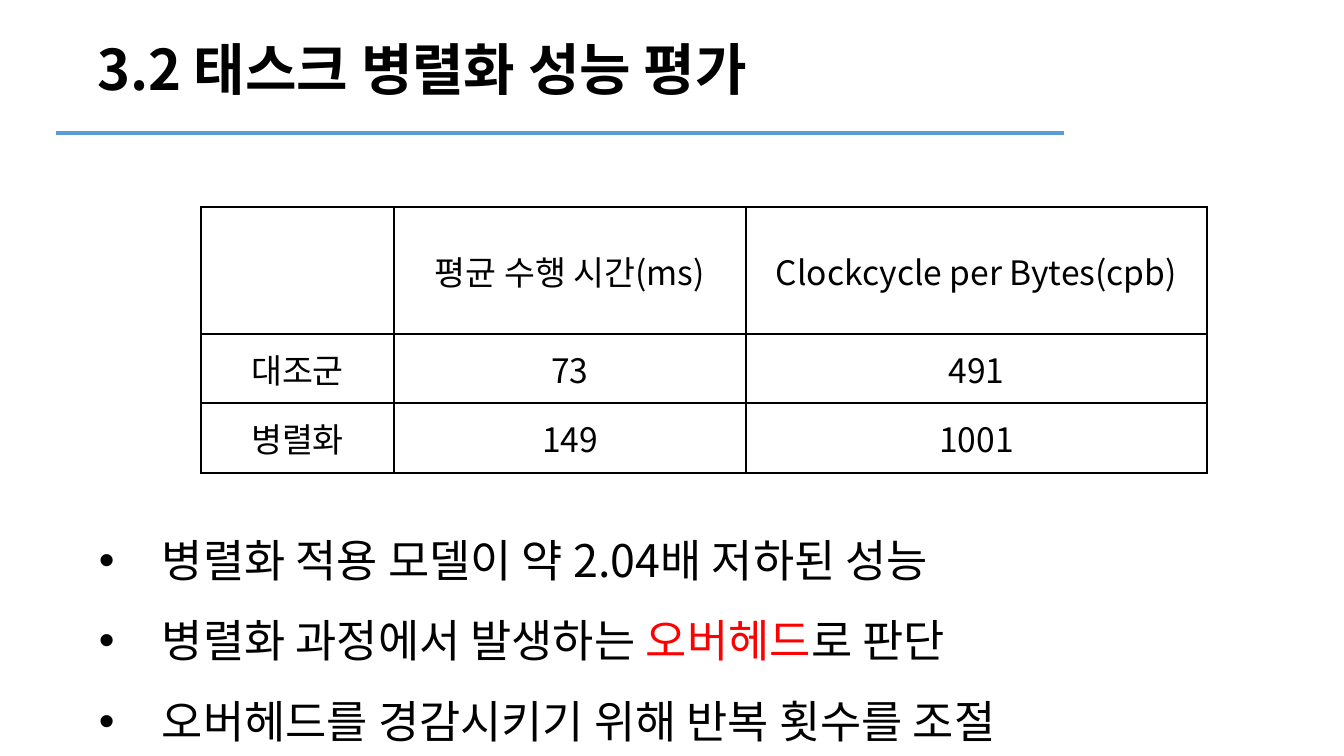
from lxml.etree import SubElement
from pptx import Presentation
from pptx.dml.color import RGBColor
from pptx.enum.shapes import MSO_CONNECTOR as Connector
from pptx.enum.text import MSO_ANCHOR as Anchor, MSO_AUTO_SIZE as AutoSize, PP_ALIGN as Align
from pptx.oxml.ns import qn
from pptx.util import Emu, Pt

PX_PER_INCH = 100.8
FONT = "Noto Sans CJK KR"
BLACK, BLUE, RED, WHITE = "000000", "5B9BD5", "FF0000", "FFFFFF"


def px(length):
    return Emu(round(length * 914400 / PX_PER_INCH))


def color(value):
    return RGBColor.from_string(value)


class SlideBuilder:
    def __init__(self, presentation):
        self.slide = presentation.slides.add_slide(presentation.slide_layouts[5])

    def add_run(self, paragraph, text, size, fill=BLACK, bold=False):
        run = paragraph.add_run()
        run.text = text
        run.font.size = Pt(size)
        run.font.bold = bold
        run.font.name = FONT
        run.font.color.rgb = color(fill)
        SubElement(run.font._element, qn("a:ea"), typeface=FONT)

    def place(self, shape, left, top, width, height):
        shape.left, shape.top = px(left), px(top)
        shape.width, shape.height = px(width), px(height)

    def title(self, text, *box):
        shape = self.slide.shapes.title
        self.place(shape, *box)
        frame = shape.text_frame
        frame.auto_size = AutoSize.NONE
        frame.word_wrap = True
        frame.vertical_anchor = Anchor.MIDDLE
        frame.margin_top = frame.margin_bottom = 0
        paragraph = frame.paragraphs[0]
        paragraph.alignment = Align.LEFT
        self.add_run(paragraph, text, 40, bold=True)

    def rule(self, left, right, y):
        line = self.slide.shapes.add_connector(
            Connector.STRAIGHT, px(left), px(y), px(right), px(y))
        line.line.color.rgb = color(BLUE)
        line.line.width = Pt(3)
        SubElement(line._element.spPr, qn("a:effectLst"))

    def border(self, cell):
        properties = cell._tc.get_or_add_tcPr()
        for position, side in enumerate(("lnL", "lnR", "lnT", "lnB")):
            line = properties.makeelement(qn(f"a:{side}"), {"w": str(Pt(1))})
            fill = SubElement(line, qn("a:solidFill"))
            SubElement(fill, qn("a:srgbClr"), val=BLACK)
            properties.insert(position, line)

    def table(self, left, top, widths, heights, rows):
        table = self.slide.shapes.add_table(
            len(heights), len(widths), px(left), px(top),
            px(sum(widths)), px(sum(heights))).table
        table.horz_banding = False
        table.first_row = False
        for column, width in zip(table.columns, widths):
            column.width = px(width)
        for row, height, texts in zip(table.rows, heights, rows):
            row.height = px(height)
            for cell, text in zip(row.cells, texts):
                cell.fill.solid()
                cell.fill.fore_color.rgb = color(WHITE)
                cell.vertical_anchor = Anchor.MIDDLE
                self.border(cell)
                if text:
                    paragraph = cell.text_frame.paragraphs[0]
                    paragraph.alignment = Align.CENTER
                    self.add_run(paragraph, text, 24)

    def bullets(self, items, *box):
        shape = self.slide.shapes.add_textbox(*map(px, box))
        frame = shape.text_frame
        frame.word_wrap = True
        frame.margin_top = px(8)
        for index, item in enumerate(items):
            paragraph = frame.add_paragraph() if index else frame.paragraphs[0]
            properties = paragraph._p.get_or_add_pPr()
            properties.set("marL", str(px(63)))
            properties.set("indent", str(px(-63)))
            SubElement(properties, qn("a:buFont"), typeface="Arial")
            SubElement(properties, qn("a:buChar"), char="•")
            paragraph.line_spacing = Pt(57.5)
            for text, fill in item:
                self.add_run(paragraph, text, 32, fill)


def main():
    presentation = Presentation()
    presentation.slide_width, presentation.slide_height = px(1344), px(756)
    builder = SlideBuilder(presentation)
    builder.rule(56, 1064, 133)
    builder.title("3.2 태스크 병렬화 성능 평가", 87, 29, 1235, 78)
    builder.table(201, 207, (193, 352, 461), (127, 69, 70), (
        ("", "평균 수행 시간(ms)", "Clockcycle per Bytes(cpb)"),
        ("대조군", "73", "491"),
        ("병렬화", "149", "1001"),
    ))
    builder.bullets((
        [("병렬화 적용 모델이 약 2.04배 저하된 성능", BLACK)],
        [("병렬화 과정에서 발생하는 ", BLACK), ("오버헤드", RED), ("로 판단", BLACK)],
        [("오버헤드를 경감시키기 위해 반복 횟수를 조절", BLACK)],
    ), 89, 498, 1170, 254)
    presentation.save("out.pptx")


if __name__ == "__main__":
    main()
